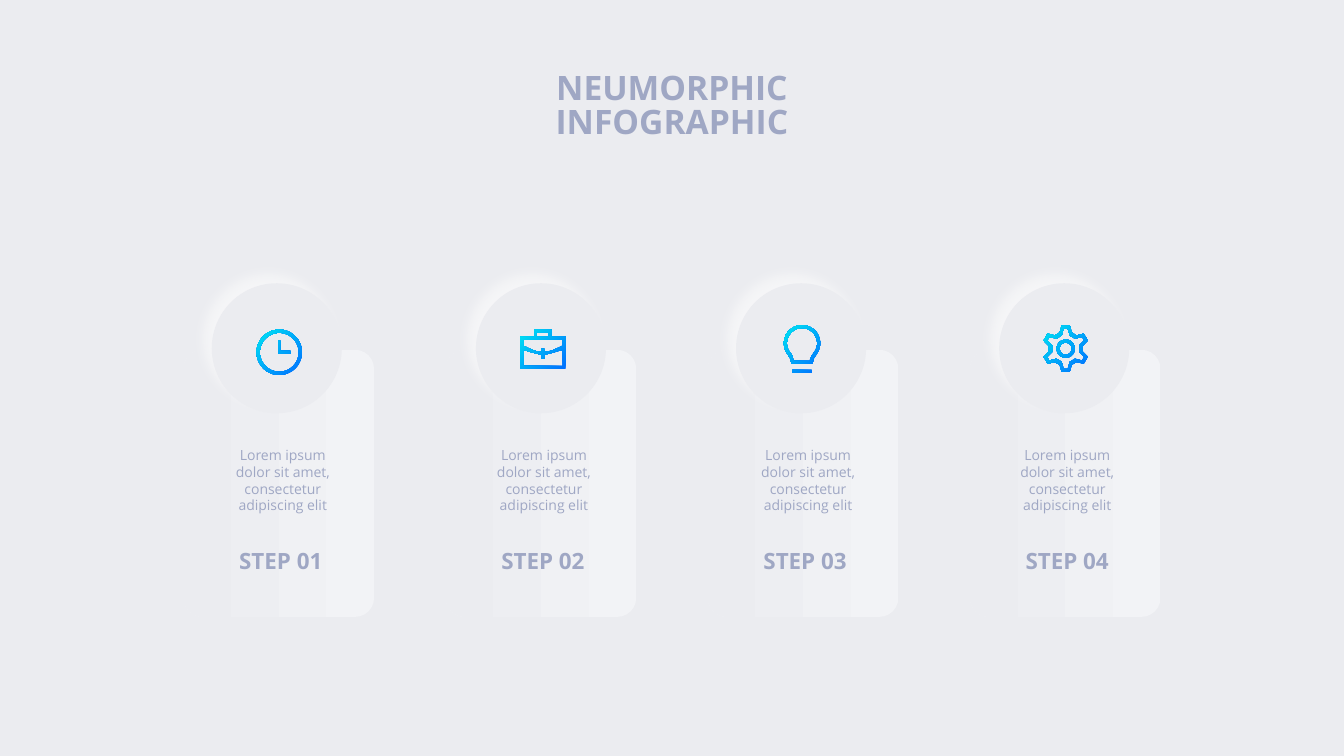
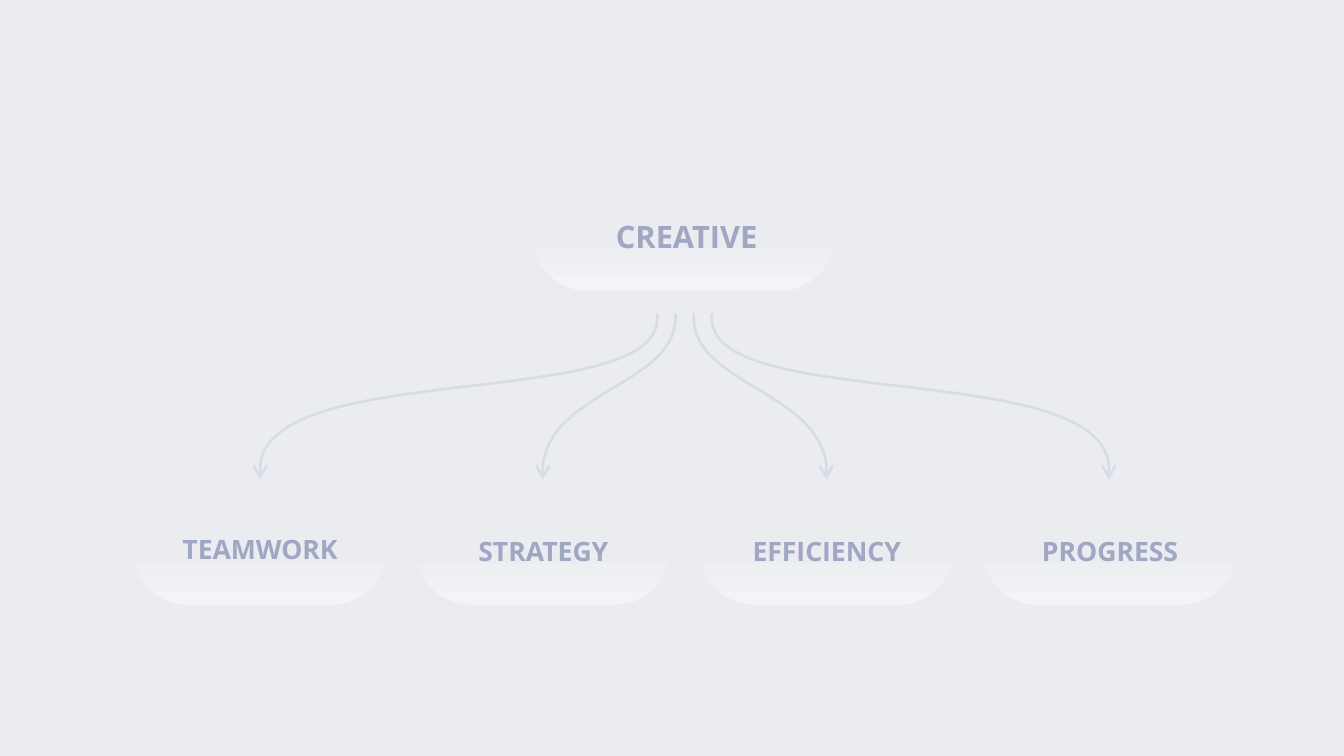
"""Build two soft-shaded infographic slides: four steps and a creative tree."""
from math import cos, pi, sin

from lxml import etree
from pptx import Presentation
from pptx.dml.color import RGBColor
from pptx.enum import shapes, text
from pptx.oxml import ns
from pptx.util import Inches, Pt

rgb = RGBColor.from_string
GROUND, INK, ARROW = "EBECF0", "9FA7C4", "D9DCE7"
CARD_FADE = ("F2F3F6", GROUND)
PILL_FADE = ("F3F4F6", GROUND)
ICON_FADE = ("006EFF", "00E6F2")
LABEL_FRAME = dict(margin_left=0, margin_top=0, margin_right=0, margin_bottom=0,
                   word_wrap=False, vertical_anchor=text.MSO_ANCHOR.TOP,
                   auto_size=text.MSO_AUTO_SIZE.NONE)
BODY_FRAME = dict(word_wrap=True, vertical_anchor=text.MSO_ANCHOR.TOP)


def write(box, place, lines, size, bold=True, frame=LABEL_FRAME, spacing=None):
    for name, value in zip(("left", "top", "width", "height"), place):
        setattr(box, name, Inches(value))
    for name, value in frame.items():
        setattr(box.text_frame, name, value)
    box.text_frame.text = "\n".join(lines)
    for para in box.text_frame.paragraphs:
        para.alignment = text.PP_ALIGN.CENTER
        para.line_spacing = spacing
        for name, value in dict(name="Open Sans", size=Pt(size), bold=bold).items():
            setattr(para.font, name, value)
        para.font.color.rgb = rgb(INK)


def paint(shape, colours, angle, end=1):
    shape.shadow.inherit = False
    shape.line.fill.background()
    shape.fill.gradient()
    shape.fill.gradient_angle = angle
    for stop, colour, position in zip(shape.fill.gradient_stops, colours, (0, end)):
        stop.color.rgb = rgb(colour)
        stop.position = position


deck = Presentation()
deck.slide_width, deck.slide_height = Inches(13.33), Inches(7.5)
deck.slide_master.background.fill.solid()
deck.slide_master.background.fill.fore_color.rgb = rgb(GROUND)
title_only = deck.slide_layouts[5]

page = deck.slides.add_slide(title_only)
write(page.shapes.title, (5.5, 0.72, 2.33, 0.68), ["NEUMORPHIC", "INFOGRAPHIC"], 24,
      spacing=Pt(24.5))

circle = [(cos(pi * step / 30), sin(pi * step / 30)) for step in range(60)]
dome = [(cos(pi * step / 30), sin(pi * step / 30)) for step in range(25, 66)]
turns = [(cos(pi * step / 3), sin(pi * step / 3)) for step in range(6)]

clock = [[(2.77 + r * x, 3.495 + r * y) for x, y in circle] for r in (0.225, 0.193)]
clock.append([(2.88, 3.51), (2.76, 3.51), (2.76, 3.38), (2.78, 3.38), (2.78, 3.48), (2.88, 3.48)])

briefcase = [
    [(5.61, 3.34), (5.47, 3.34), (5.47, 3.27), (5.3, 3.27), (5.3, 3.34), (5.16, 3.34),
     (5.16, 3.66), (5.61, 3.66)],
    [(5.32, 3.3), (5.44, 3.3), (5.44, 3.34), (5.32, 3.34)],
    [(5.19, 3.37), (5.58, 3.37), (5.58, 3.43), (5.47, 3.48), (5.4, 3.49), (5.4, 3.46),
     (5.37, 3.46), (5.37, 3.49), (5.3, 3.48), (5.19, 3.43)],
    [(5.19, 3.63), (5.19, 3.47), (5.29, 3.5), (5.37, 3.52), (5.37, 3.56), (5.4, 3.56),
     (5.4, 3.52), (5.48, 3.5), (5.58, 3.47), (5.58, 3.63)],
]

bulb = [
    [(7.86, 3.67), (8.05, 3.67), (8.05, 3.7), (7.86, 3.7)],
    [(7.955 + 0.18 * x, 3.405 + 0.18 * y) for x, y in dome]
    + [(8.07, 3.56), (8.06, 3.61), (7.85, 3.61), (7.84, 3.56)],
    [(7.955 + 0.15 * x, 3.405 + 0.15 * y) for x, y in dome]
    + [(8.05, 3.53), (8.03, 3.58), (7.87, 3.58), (7.86, 3.53)],
]

gear = [[(10.57 + r * x, 3.46 + r * y) for x, y in circle] for r in (0.09, 0.06)]
for root, valley, tip, peak in ((0.06, 0.16, 0.04, 0.23), (0.04, 0.13, 0.02, 0.2)):
    tooth = [(-root, -valley), (-tip, -peak), (tip, -peak), (root, -valley)]
    gear.append([(10.57 + x * c - y * s, 3.46 + x * s + y * c)
                 for c, s in turns for x, y in tooth])

steps = [(2.1, 2.22, clock), (4.72, 4.81, briefcase), (7.3, 7.43, bulb), (9.91, 10, gear)]
for index, (disc_left, body_left, icon) in enumerate(steps):
    shift = 2.6 * index
    card = page.shapes.add_shape(shapes.MSO_SHAPE.ROUNDED_RECTANGLE, Inches(1.82 + shift),
                                 Inches(3.47), Inches(1.89), Inches(2.65))
    card.adjustments[0] = 0.1
    paint(card, CARD_FADE, 180)

    disc = page.shapes.add_shape(shapes.MSO_SHAPE.OVAL, Inches(disc_left), Inches(2.81),
                                 Inches(1.29), Inches(1.29))
    disc.fill.solid()
    disc.fill.fore_color.rgb = rgb(GROUND)
    disc.line.fill.background()
    disc.shadow.inherit = False
    glow = etree.SubElement(disc.element.spPr.find(ns.qn("a:effectLst")), ns.qn("a:outerShdw"),
                            blurRad=str(Pt(9)), dist=str(Pt(9)), dir=str(225 * 60000),
                            algn="br", rotWithShape="0")
    white = etree.SubElement(glow, ns.qn("a:srgbClr"), val="FFFFFF")
    etree.SubElement(white, ns.qn("a:alpha"), val="56000")

    contours = [[(Inches(x), Inches(y)) for x, y in contour] for contour in icon]
    outline = page.shapes.build_freeform(*contours[0][0])
    outline.add_line_segments(contours[0][1:])
    for contour in contours[1:]:
        outline.move_to(*contour[0])
        outline.add_line_segments(contour[1:])
    paint(outline.convert_to_shape(), ICON_FADE, 135)

    write(page.shapes.add_textbox(0, 0, 0, 0), (body_left, 4.38, 1.17, 0.77),
          ["Lorem ipsum dolor sit amet, consectetur adipiscing elit"], 10, False, BODY_FRAME)
    write(page.shapes.add_textbox(0, 0, 0, 0), (2.37 + shift, 5.43, 0.83, 0.27),
          [f"STEP {index + 1:02}"], 16)

page = deck.slides.add_slide(title_only)
routes = [[(0.27, 3.16), (0.27, 4.11), (4.31, 3.53), (4.21, 4.7)],
          [(0.09, 3.15), (0.09, 3.83), (1.41, 3.89), (1.41, 4.69)]]
for side in (-1, 1):
    for route in routes:
        track = [(route[0][0], 3.11)]
        for step in range(41):
            t = step / 40
            weights = ((1 - t) ** 3, 3 * t * (1 - t) ** 2, 3 * t * t * (1 - t), t ** 3)
            track.append([sum(w * point[axis] for w, point in zip(weights, route))
                          for axis in (0, 1)])
        track.append((route[3][0], 4.76))
        points = [(Inches(6.79 + side * x), Inches(y)) for x, y in track]
        outline = page.shapes.build_freeform(*points[0])
        outline.add_line_segments(points[1:], close=False)
        arrow = outline.convert_to_shape()
        arrow.shadow.inherit = False
        arrow.fill.background()
        arrow.line.color.rgb = rgb(ARROW)
        arrow.line.width = Pt(1.88)
        etree.SubElement(arrow.element.spPr.find(ns.qn("a:ln")), ns.qn("a:tailEnd"),
                         type="arrow", w="lg", len="lg")

pills = [(5.29, 1.8, 2.98)] + [(1.32 + 2.81 * column, 4.91, 2.51) for column in range(4)]
for left, top, width in pills:
    pill = page.shapes.add_shape(shapes.MSO_SHAPE.ROUNDED_RECTANGLE, Inches(left), Inches(top),
                                 Inches(width), Inches(1.09))
    pill.adjustments[0] = 0.5
    paint(pill, PILL_FADE, 90, 0.51)

heading = page.shapes.title
write(heading, (6.1, 2.16, 1.42, 0.37), ["CREATIVE"], 22)
heading.element.getparent().append(heading.element)
labels = [("TEAMWORK", 5.29), ("STRATEGY", 5.31), ("EFFICIENCY", 5.31), ("PROGRESS", 5.31)]
for column, (label, top) in enumerate(labels):
    write(page.shapes.add_textbox(0, 0, 0, 0), (1.8 + 2.81 * column, top, 1.56, 0.32),
          [label], 19)

deck.save("out.pptx")
